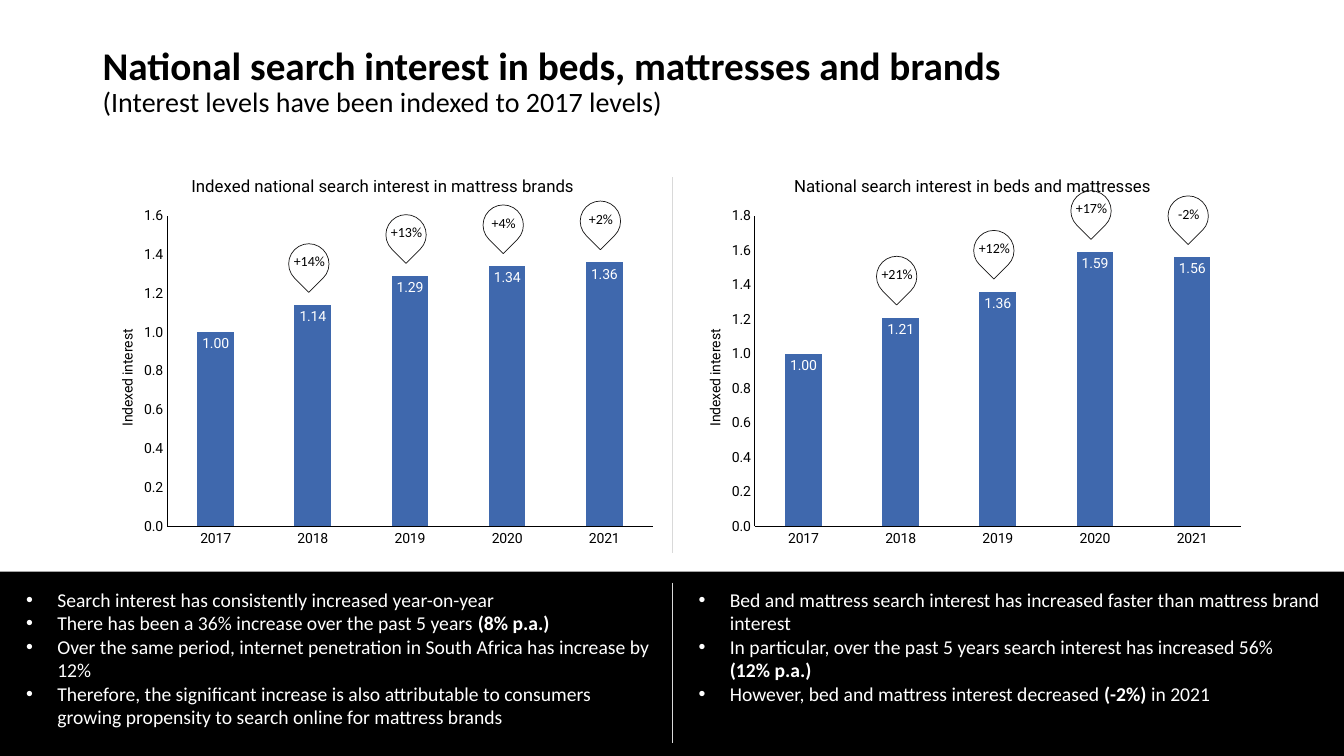
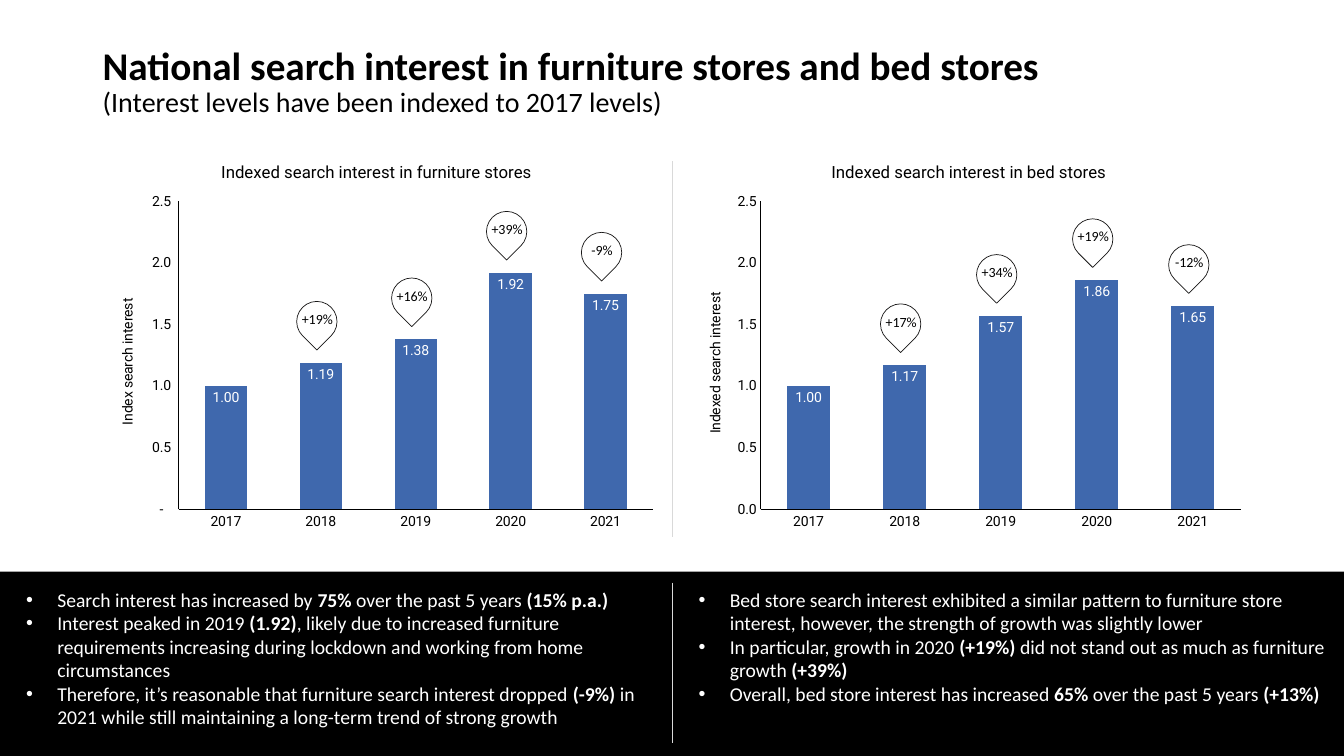
from lxml import etree
from pptx import Presentation
from pptx.chart import data
from pptx.dml.color import RGBColor
from pptx.enum import chart as charts, shapes, text
from pptx.oxml.ns import qn
from pptx.util import Inches, Pt

BLACK = RGBColor(0, 0, 0)
WHITE = RGBColor(255, 255, 255)
BLUE = RGBColor(0x3F, 0x68, 0xAD)
GREY = RGBColor(0xD9, 0xD9, 0xD9)
INK = RGBColor(0x18, 0x17, 0x17)
BODY, LABEL = "Calibri", "Roboto"

YEARS = ["2017", "2018", "2019", "2020", "2021"]
LEFTS = (0.92, 6.75)  # the two charts
NOTES = (0.16, 6.83)  # the two bullet boxes
WIDE = 5.67           # chart width
MID = 6.67            # centre line
PLAIN = "0.0"
DASH = '_(* #,##0.0_);_(* \\(#,##0.0\\);_(* "-"?_)'


def style(font, size, color=BLACK, name=BODY, bold=False):
    font.size, font.name, font.bold = Pt(size), name, bold
    font.color.rgb = color


def place(node, index, **spots):
    """Give a chart part a fixed layout, as shares of the chart."""
    for old in node.findall(qn("c:layout")):
        node.remove(old)
    layout = etree.Element(qn("c:layout"))
    node.insert(index, layout)
    manual = etree.SubElement(layout, qn("c:manualLayout"))
    if "w" in spots:
        etree.SubElement(manual, qn("c:layoutTarget"), val="inner")
    for key in ("x", "y"):
        etree.SubElement(manual, qn(f"c:{key}Mode"), val="edge")
    for key, share in spots.items():
        etree.SubElement(manual, qn(f"c:{key}"), val=f"{share:.4f}")


class Deck:
    def __init__(self):
        self.prs = Presentation()
        self.prs.slide_width, self.prs.slide_height = Inches(13.33), Inches(7.5)
        self.slide = None

    def page(self, title):
        self.slide = self.prs.slides.add_slide(self.prs.slide_layouts[6])
        self.title(title, "(Interest levels have been indexed to 2017 levels)")
        self.band()

    def title(self, head, sub):
        box = self.slide.shapes.add_textbox(
            Inches(0.92), Inches(0.25), Inches(11.5), Inches(1.14))
        frame = box.text_frame
        frame.word_wrap = True
        frame.vertical_anchor = text.MSO_ANCHOR.MIDDLE
        para = frame.paragraphs[0]
        para.line_spacing = 0.9
        self.run(para, head, 28, bold=True)
        para.add_line_break()
        self.run(para, sub, 20)

    def run(self, para, words, size, color=BLACK, bold=False):
        run = para.add_run()
        run.text = words
        style(run.font, size, color, bold=bold)

    def rect(self, x, y, w, h):
        box = self.slide.shapes.add_shape(
            shapes.MSO_SHAPE.RECTANGLE, Inches(x), Inches(y), Inches(w), Inches(h))
        box.shadow.inherit = False
        box.fill.solid()
        box.fill.fore_color.rgb = BLACK
        box.line.fill.background()
        return box

    def rule(self, top, bottom):
        line = self.slide.shapes.add_connector(
            shapes.MSO_CONNECTOR.STRAIGHT,
            Inches(MID), Inches(top), Inches(MID), Inches(bottom))
        line.line.color.rgb = GREY
        line.line.width = Pt(0.5)
        etree.SubElement(line.element.spPr, qn("a:effectLst"))

    def band(self):
        self.rect(0, 5.67, 13.33, 1.83)

    def notes(self, x, high, items):
        """Bullet list; words between asterisks are bold."""
        box = self.rect(x, 5.78, 6.42, high)
        frame = box.text_frame
        frame.word_wrap = True
        frame.vertical_anchor = text.MSO_ANCHOR.TOP
        frame.auto_size = text.MSO_AUTO_SIZE.SHAPE_TO_FIT_TEXT
        for i, item in enumerate(items):
            para = frame.paragraphs[0] if i == 0 else frame.add_paragraph()
            para.alignment = text.PP_ALIGN.LEFT
            props = para._p.get_or_add_pPr()
            props.set("marL", str(Inches(0.31)))
            props.set("indent", str(-Inches(0.31)))
            etree.SubElement(props, qn("a:buFont"), typeface="Arial")
            etree.SubElement(props, qn("a:buChar"), char="•")
            for j, part in enumerate(item.split("*")):
                for k, words in enumerate(part.split("\n")):
                    if k:
                        para.add_line_break()
                    if words:
                        self.run(para, words, 14, WHITE, bold=j % 2 == 1)

    def axis(self, axis):
        axis.has_major_gridlines = False
        axis.major_tick_mark = axis.minor_tick_mark = charts.XL_TICK_MARK.NONE
        axis.format.line.color.rgb = BLACK
        axis.format.line.width = Pt(0.75)
        style(axis.tick_labels.font, 10, name=LABEL)

    def label(self, owner, words, size):
        para = owner.text_frame.paragraphs[0]
        run = para.add_run()
        run.text = words
        style(run.font, size, name=LABEL)

    def chart(self, x, y, high, title, side, vals, pins, top, step, gap, inset,
              form=PLAIN):
        source = data.CategoryChartData()
        source.categories = YEARS
        source.add_series("Series 1", vals)
        chart = self.slide.shapes.add_chart(
            charts.XL_CHART_TYPE.COLUMN_CLUSTERED,
            Inches(x), Inches(y), Inches(WIDE), Inches(high), source).chart
        style(chart.font, 10)
        chart.has_legend = False

        # Columns and their values
        plot = chart.plots[0]
        plot.gap_width, plot.overlap, plot.vary_by_categories = gap, -27, False
        fill = plot.series[0].format.fill
        fill.solid()
        fill.fore_color.rgb = BLUE
        plot.has_data_labels = True
        tags = plot.data_labels
        tags.show_value = True
        tags.number_format, tags.number_format_is_linked = "0.00", False
        tags.position = charts.XL_LABEL_POSITION.INSIDE_END
        style(tags.font, 10, WHITE, LABEL)

        # Axes
        scale = chart.value_axis
        for axis in (chart.category_axis, scale):
            self.axis(axis)
        scale.minimum_scale, scale.maximum_scale, scale.major_unit = 0, top, step
        scale.tick_labels.number_format = form
        scale.tick_labels.number_format_is_linked = False

        # Titles, centred by their estimated length
        self.label(chart.chart_title, title, 12)
        place(chart.chart_title.element, 1,
              x=0.5 - len(title) * 0.037 / WIDE, y=0.04)
        self.label(scale.axis_title, side, 10)
        node = scale.axis_title.element
        body = node.find(".//" + qn("a:bodyPr"))
        body.set("rot", "-5400000")
        body.set("vert", "horz")
        place(node, 1, x=0.04, y=0.55 - len(side) * 0.03 / high)

        # Plot area, then one pin above each later column
        wide = 0.98 - inset
        place(chart.element.find(".//" + qn("c:plotArea")), 0,
              x=inset, y=0.15, w=wide, h=0.78)
        for i, words in enumerate(pins, 1):
            mid = x + WIDE * (inset + wide * (i + 0.5) / len(YEARS))
            tip = y + high * (0.93 - 0.78 * vals[i] / top)
            self.pin(mid - 0.04, tip - 0.61, words)

    def pin(self, mid, top, words):
        group = self.slide.shapes.add_group_shape().shapes
        drop = group.add_shape(shapes.MSO_SHAPE.TEAR, Inches(mid - 0.2),
                               Inches(top), Inches(0.4), Inches(0.4))
        drop.rotation = 135
        drop.shadow.inherit = False
        drop.fill.background()
        drop.line.color.rgb = INK
        drop.line.width = Pt(0.5)
        box = group.add_textbox(Inches(mid - 0.33), Inches(top + 0.01),
                                Inches(0.67), Inches(0.33))
        frame = box.text_frame
        frame.word_wrap = True
        frame.vertical_anchor = text.MSO_ANCHOR.MIDDLE
        frame.paragraphs[0].alignment = text.PP_ALIGN.CENTER
        self.run(frame.paragraphs[0], words, 10)


def main():
    deck = Deck()

    # Beds, mattresses and brands
    deck.page("National search interest in beds, mattresses and brands")
    deck.chart(LEFTS[0], 1.55, 3.95,
               "Indexed national search interest in mattress brands",
               "Indexed interest", [1, 1.14, 1.29, 1.34, 1.36],
               ["+14%", "+13%", "+4%", "+2%"], 1.6, 0.2, 165, 0.13)
    deck.chart(LEFTS[1], 1.55, 3.95,
               "National search interest in beds and mattresses",
               "Indexed interest", [1, 1.21, 1.36, 1.59, 1.56],
               ["+21%", "+12%", "+17%", "-2%"], 1.8, 0.2, 165, 0.13)
    deck.rule(1.76, 5.49)
    deck.notes(NOTES[0], 1.51, [
        "Search interest has consistently increased year-on-year",
        "There has been a 36% increase over the past 5 years *(8% p.a.)*",
        "Over the same period, internet penetration in South Africa has "
        "increase by 12%",
        "Therefore, the significant increase is also attributable to consumers "
        "growing propensity to search online for mattress brands"])
    deck.notes(NOTES[1], 1.51, [
        "Bed and mattress search interest has increased faster than mattress "
        "brand interest",
        "In particular, over the past 5 years search interest has increased "
        "56%\n*(12% p.a.)*",
        "However, bed and mattress interest decreased *(-2%) *in 2021"])
    deck.rule(5.78, 7.37)

    # Furniture stores and bed stores
    deck.page("National search interest in furniture stores and bed stores")
    deck.chart(LEFTS[0], 1.41, 3.92,
               "Indexed search interest in furniture stores",
               "Index search interest", [1, 1.19, 1.38, 1.92, 1.75],
               ["+19%", "+16%", "+39%", "-9%"], 2.5, 0.5, 125, 0.15, DASH)
    deck.chart(LEFTS[1], 1.41, 3.92,
               "Indexed search interest in bed stores",
               "Indexed search interest", [1, 1.17, 1.57, 1.86, 1.65],
               ["+17%", "+34%", "+19%", "-12%"], 2.5, 0.5, 125, 0.14)
    deck.rule(1.6, 5.33)
    deck.notes(NOTES[0], 1.51, [
        "Search interest has increased by *75% *over the past 5 years "
        "*(15% p.a.)*",
        "Interest peaked in 2019 *(1.92)*, likely due to increased furniture "
        "requirements increasing during lockdown and working from home "
        "circumstances",
        "Therefore, it’s reasonable that furniture search interest dropped "
        "*(-9%) *in 2021 while still maintaining a long-term trend of strong "
        "growth"])
    deck.notes(NOTES[1], 1.28, [
        "Bed store search interest exhibited a similar pattern to furniture "
        "store interest, however, the strength of growth was slightly lower",
        "In particular, growth in 2020 *(+19%) *did not stand out as much as "
        "furniture growth *(+39%)*",
        "Overall, bed store interest has increased *65%* over the past 5 years "
        "*(+13%)*"])
    deck.rule(5.78, 7.37)

    deck.prs.save("out.pptx")


if __name__ == "__main__":
    main()
